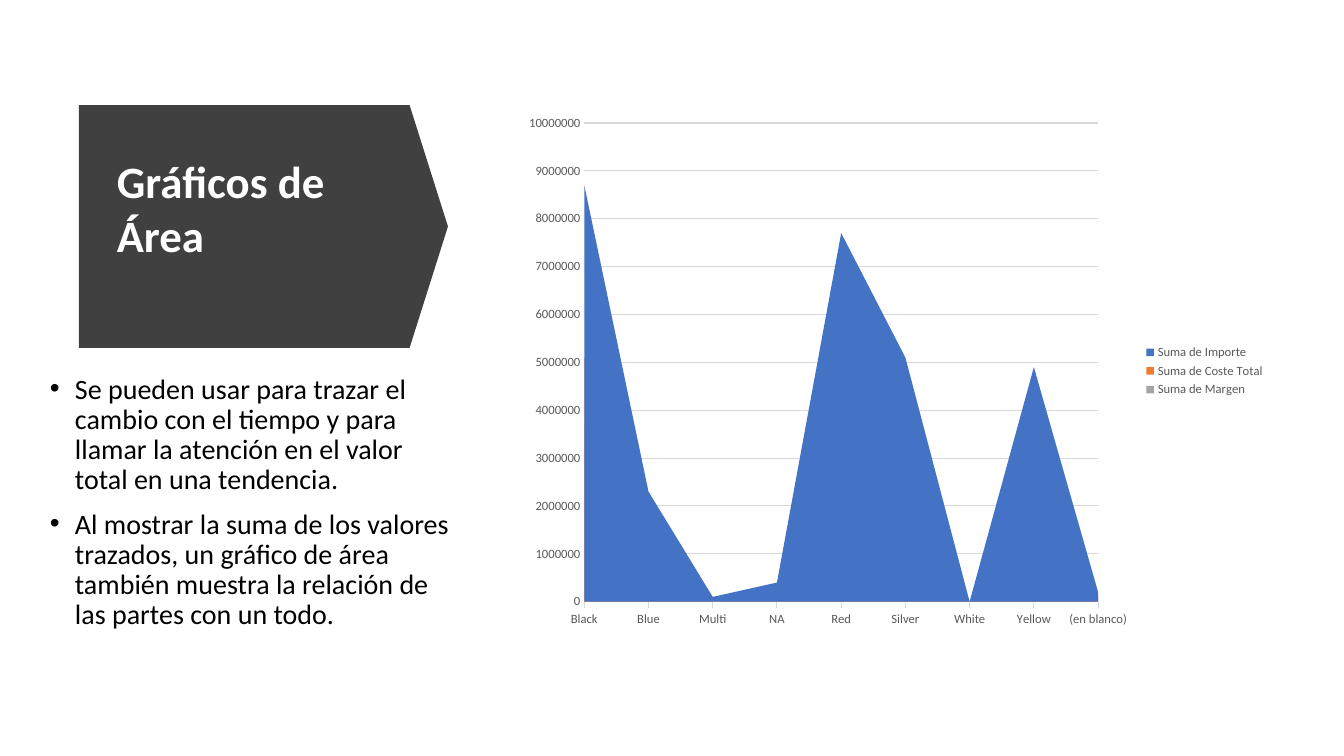
import pptx
import pptx.chart.data
import pptx.dml.color
import pptx.enum.chart
import pptx.enum.shapes
import pptx.enum.text
import pptx.oxml
import pptx.oxml.ns
import pptx.util

PX_PER_INCH = 100.8
FONT = "Calibri"
GREY_TEXT, GREY_LINE = "595959", "D9D9D9"

BULLETS = [
    "Se pueden usar para trazar el cambio con el tiempo y para llamar la "
    "atención en el valor total en una tendencia.",
    "Al mostrar la suma de los valores trazados, un gráfico de área también "
    "muestra la relación de las partes con un todo.",
]
COLOURS = ["Black", "Blue", "Multi", "NA", "Red", "Silver", "White", "Yellow",
           "(en blanco)"]
SERIES = [
    ("Suma de Importe", "4472C4",
     [8700000, 2300000, 100000, 400000, 7700000, 5100000, 0, 4900000, 200000]),
    ("Suma de Coste Total", "ED7D31",
     [5100000, 1400000, 100000, 100000, 4700000, 2800000, 0, 3100000, 100000]),
    ("Suma de Margen", "A5A5A5",
     [3700000, 900000, 0, 200000, 3000000, 2300000, 0, 1800000, 100000]),
]


def px(length):
    return pptx.util.Emu(round(length * 914400 / PX_PER_INCH))


def colour(hex_string):
    return pptx.dml.color.RGBColor.from_string(hex_string)


def style_font(font, size, hex_string, bold=False):
    font.name, font.size, font.bold = FONT, pptx.util.Pt(size), bold
    font.color.rgb = colour(hex_string)


def style_line(line, hex_string):
    line.color.rgb = colour(hex_string)
    line.width = pptx.util.Pt(0.75)


def add_bullet(para, indent):
    properties = para._p.get_or_add_pPr()
    properties.set("marL", str(px(indent)))
    properties.set("indent", str(-px(indent)))
    for tag, attribute, value in [("a:buFont", "typeface", "Arial"),
                                  ("a:buChar", "char", "•")]:
        bullet = pptx.oxml.parse_xml(
            f'<{tag} {pptx.oxml.ns.nsdecls("a")} {attribute}="{value}"/>')
        properties.append(bullet)


def add_text(page, box, paragraphs, size, hex_string, bold=False, bulleted=False,
             line_spacing=1.0, space_before=0, anchor="TOP", bottom_inset=5):
    frame = page.shapes.add_textbox(*map(px, box)).text_frame
    frame.word_wrap = True
    frame.vertical_anchor = getattr(pptx.enum.text.MSO_ANCHOR, anchor)
    frame.margin_bottom = px(bottom_inset)
    for index, words in enumerate(paragraphs):
        para = frame.add_paragraph() if index else frame.paragraphs[0]
        para.line_spacing = line_spacing
        para.space_before = pptx.util.Pt(space_before)
        if bulleted:
            add_bullet(para, 25)
        span = para.add_run()
        span.text = words
        style_font(span.font, size, hex_string, bold)


def add_title_arrow(page, box):
    left, top, width, height = box
    arrow = page.shapes.add_shape(pptx.enum.shapes.MSO_SHAPE.PENTAGON, *map(px, box))
    arrow.adjustments[0] = 0.158
    arrow.shadow.inherit = False
    arrow.fill.solid()
    arrow.fill.fore_color.rgb = colour("404040")
    arrow.line.fill.background()
    add_text(page, (left + 28, top + 28, width - 75, height - 46),
             ["Gráficos de Área"], 32, "FFFFFF", bold=True,
             anchor="MIDDLE", bottom_inset=53)


def add_area_chart(page, box):
    data = pptx.chart.data.CategoryChartData(number_format="0")
    data.categories = COLOURS
    for name, _, values in SERIES:
        data.add_series(name, values)
    chart = page.shapes.add_chart(
        pptx.enum.chart.XL_CHART_TYPE.AREA, *map(px, box), data).chart
    chart.has_title = False
    style_font(chart.font, 10, "000000")
    chart.plots[0].vary_by_categories = False
    for series, (_, fill, _) in zip(chart.plots[0].series, SERIES):
        series.format.fill.solid()
        series.format.fill.fore_color.rgb = colour(fill)
        series.format.line.fill.background()

    ticks = pptx.enum.chart.XL_TICK_MARK
    categories, amounts = chart.category_axis, chart.value_axis
    for axis, mark in [(categories, ticks.OUTSIDE), (amounts, ticks.NONE)]:
        axis.major_tick_mark, axis.minor_tick_mark = mark, ticks.NONE
        style_font(axis.tick_labels.font, 9, GREY_TEXT)
    categories.has_major_gridlines = False
    style_line(categories.format.line, GREY_LINE)
    amounts.minimum_scale, amounts.maximum_scale = 0, 10000000
    amounts.major_unit = 1000000
    amounts.format.line.fill.background()
    style_line(amounts.major_gridlines.format.line, GREY_LINE)
    for crossing in amounts._element.xpath("c:crossBetween"):
        crossing.set("val", "midCat")

    chart.has_legend = True
    chart.legend.position = pptx.enum.chart.XL_LEGEND_POSITION.RIGHT
    chart.legend.include_in_layout = False
    style_font(chart.legend.font, 9, GREY_TEXT)


def build_area_chart_slide(deck):
    page = deck.slides.add_slide(deck.slide_layouts[6])
    add_title_arrow(page, (79, 105, 369, 243))
    add_text(page, (40, 370, 428, 327), BULLETS, 20, "000000",
             bulleted=True, line_spacing=0.9, space_before=10)
    add_area_chart(page, (514, 105, 761, 532))


def main():
    deck = pptx.Presentation()
    deck.slide_width, deck.slide_height = px(1344), px(756)
    build_area_chart_slide(deck)
    deck.save("out.pptx")


if __name__ == "__main__":
    main()
